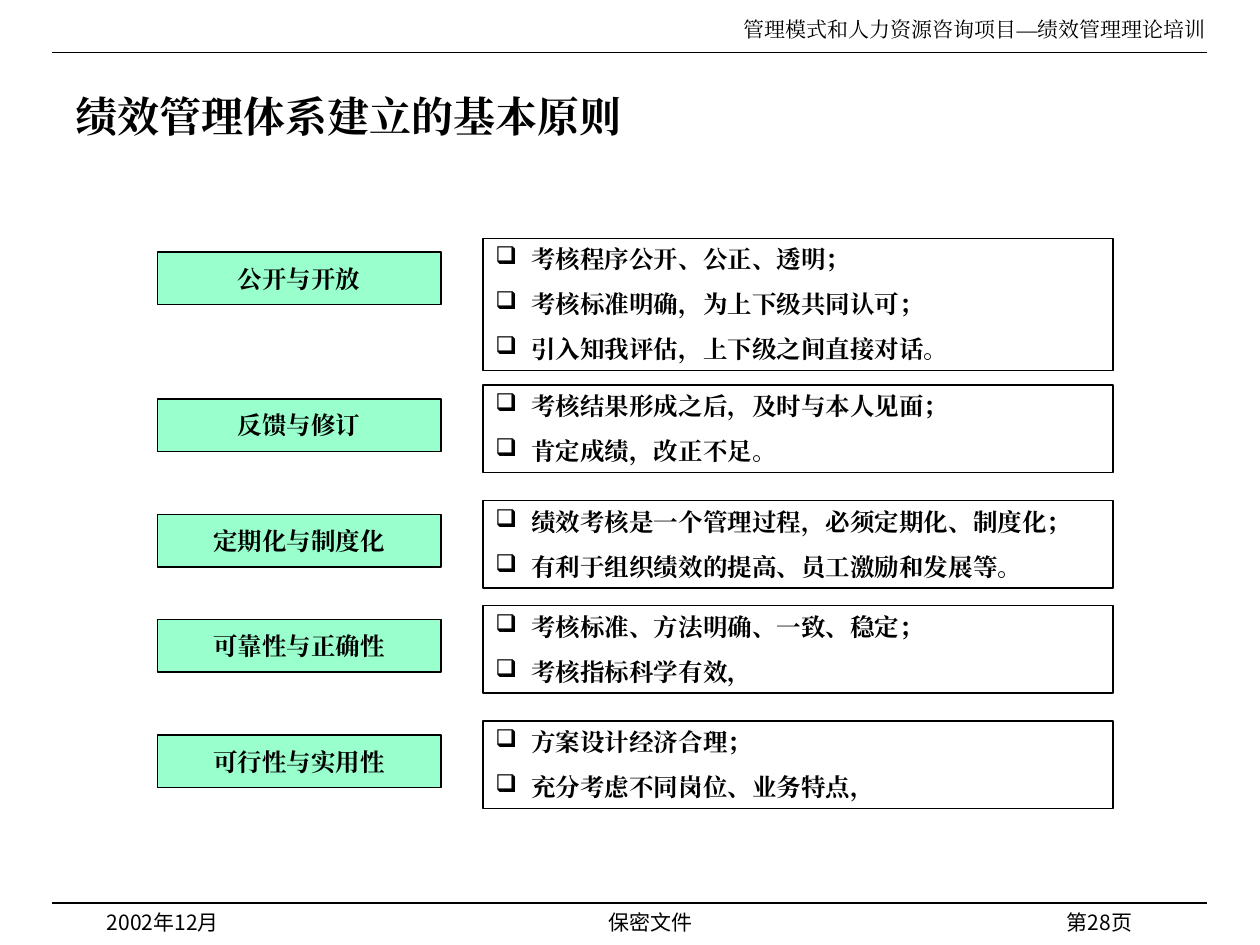
from typing import NamedTuple

from lxml import etree
from pptx import Presentation
from pptx.dml.color import RGBColor
from pptx.enum import shapes, text
from pptx.oxml.ns import qn
from pptx.util import Pt

BLACK, MINT = "000000", "99FFCC"
SERIF, SANS = "Times New Roman", "Noto Sans CJK SC"
LEFT, CENTER, RIGHT = text.PP_ALIGN.LEFT, text.PP_ALIGN.CENTER, text.PP_ALIGN.RIGHT
TOP, MIDDLE = text.MSO_ANCHOR.TOP, text.MSO_ANCHOR.MIDDLE

LABEL_X, LABEL_W, LABEL_H = 90, 162, 30
PANEL_X, PANEL_W, PANEL_RISE = 276, 360, 7.9
LINE_PITCH, PANEL_TRIM = 25.6, 1.3


class Box(NamedTuple):
    x: float
    y: float
    w: float
    h: float


class Caption(NamedTuple):
    words: str
    box: Box
    align: text.PP_ALIGN
    font: str
    size: float = 12
    bold: bool = False
    anchor: text.MSO_ANCHOR = TOP


class Principle(NamedTuple):
    name: str
    y: float
    points: list[str]


CAPTIONS = [
    Caption("管理模式和人力资源咨询项目—绩效管理理论培训", Box(360, 6, 336, 21.6), RIGHT, SERIF),
    Caption("绩效管理体系建立的基本原则", Box(36, 42, 642, 48), LEFT, SERIF, 24, True, MIDDLE),
    Caption("2002年12月", Box(54, 516, 150, 18), LEFT, SANS),
    Caption("保密文件", Box(210, 516, 324, 18), CENTER, SANS),
    Caption("第28页", Box(504, 516, 150, 12), RIGHT, SANS),
]

PRINCIPLES = [
    Principle("公开与开放", 144, [
        "考核程序公开、公正、透明；",
        "考核标准明确，为上下级共同认可；",
        "引入知我评估，上下级之间直接对话。"]),
    Principle("反馈与修订", 228, [
        "考核结果形成之后，及时与本人见面；",
        "肯定成绩，改正不足。"]),
    Principle("定期化与制度化", 294, [
        "绩效考核是一个管理过程，必须定期化、制度化；",
        "有利于组织绩效的提高、员工激励和发展等。"]),
    Principle("可靠性与正确性", 354, [
        "考核标准、方法明确、一致、稳定；",
        "考核指标科学有效，"]),
    Principle("可行性与实用性", 420, [
        "方案设计经济合理；",
        "充分考虑不同岗位、业务特点，"]),
]


def color(value: str) -> RGBColor:
    return RGBColor.from_string(value)


def add_bullet(p) -> None:
    pPr = p._p.get_or_add_pPr()
    pPr.set("marL", str(Pt(20.5)))
    pPr.set("indent", str(-Pt(20.5)))
    bu_color = etree.SubElement(pPr, qn("a:buClr"))
    etree.SubElement(bu_color, qn("a:srgbClr"), val=BLACK)
    etree.SubElement(pPr, qn("a:buChar"), char="❑")


def write(tf, lines: list[str], align, font: str, size: float, bold: bool,
          anchor, bullets: bool = False, wrap: bool = True) -> None:
    frame = {"word_wrap": wrap, "vertical_anchor": anchor,
             "margin_left": Pt(7.2), "margin_right": Pt(7.2),
             "margin_top": Pt(3.6), "margin_bottom": Pt(3.6)}
    for key, value in frame.items():
        setattr(tf, key, value)
    for i, line in enumerate(lines):
        p = tf.paragraphs[0] if i == 0 else tf.add_paragraph()
        if bullets:
            add_bullet(p)
        p.alignment = align
        if i:
            p.space_before = Pt(8.8)
        r = p.add_run()
        r.text = line
        for key, value in {"name": font, "size": Pt(size), "bold": bold}.items():
            setattr(r.font, key, value)
        r.font.color.rgb = color(BLACK)
        etree.SubElement(r._r.get_or_add_rPr(), qn("a:ea"), typeface=font)


def add_caption(s, c: Caption) -> None:
    tb = s.shapes.add_textbox(*map(Pt, c.box))
    write(tb.text_frame, [c.words], c.align, c.font, c.size, c.bold, c.anchor)


def add_rule(s, y: float) -> None:
    line = s.shapes.add_connector(shapes.MSO_CONNECTOR.STRAIGHT, Pt(30), Pt(y), Pt(690), Pt(y))
    line.line.color.rgb = color(BLACK)
    line.line.width = Pt(0.75)
    etree.SubElement(line._element.spPr, qn("a:effectLst"))


def add_box(s, box: Box, fill: str | None = None):
    sp = s.shapes.add_shape(shapes.MSO_SHAPE.RECTANGLE, *map(Pt, box))
    sp.shadow.inherit = False
    if fill:
        sp.fill.solid()
        sp.fill.fore_color.rgb = color(fill)
    else:
        sp.fill.background()
    sp.line.color.rgb = color(BLACK)
    sp.line.width = Pt(0.75)
    return sp


def add_principle(s, item: Principle) -> None:
    label = add_box(s, Box(LABEL_X, item.y, LABEL_W, LABEL_H), MINT)
    write(label.text_frame, [item.name], CENTER, SERIF, 14, True, MIDDLE, wrap=False)
    height = LINE_PITCH * len(item.points) - PANEL_TRIM
    panel = add_box(s, Box(PANEL_X, item.y - PANEL_RISE, PANEL_W, height))
    write(panel.text_frame, item.points, LEFT, SERIF, 14, True, TOP, bullets=True)


def main() -> None:
    prs = Presentation()
    prs.slide_width, prs.slide_height = Pt(720), Pt(540)
    s = prs.slides.add_slide(prs.slide_layouts[6])
    for y in (30, 516):
        add_rule(s, y)
    for caption in CAPTIONS:
        add_caption(s, caption)
    for item in PRINCIPLES:
        add_principle(s, item)
    prs.save("out.pptx")


if __name__ == "__main__":
    main()
